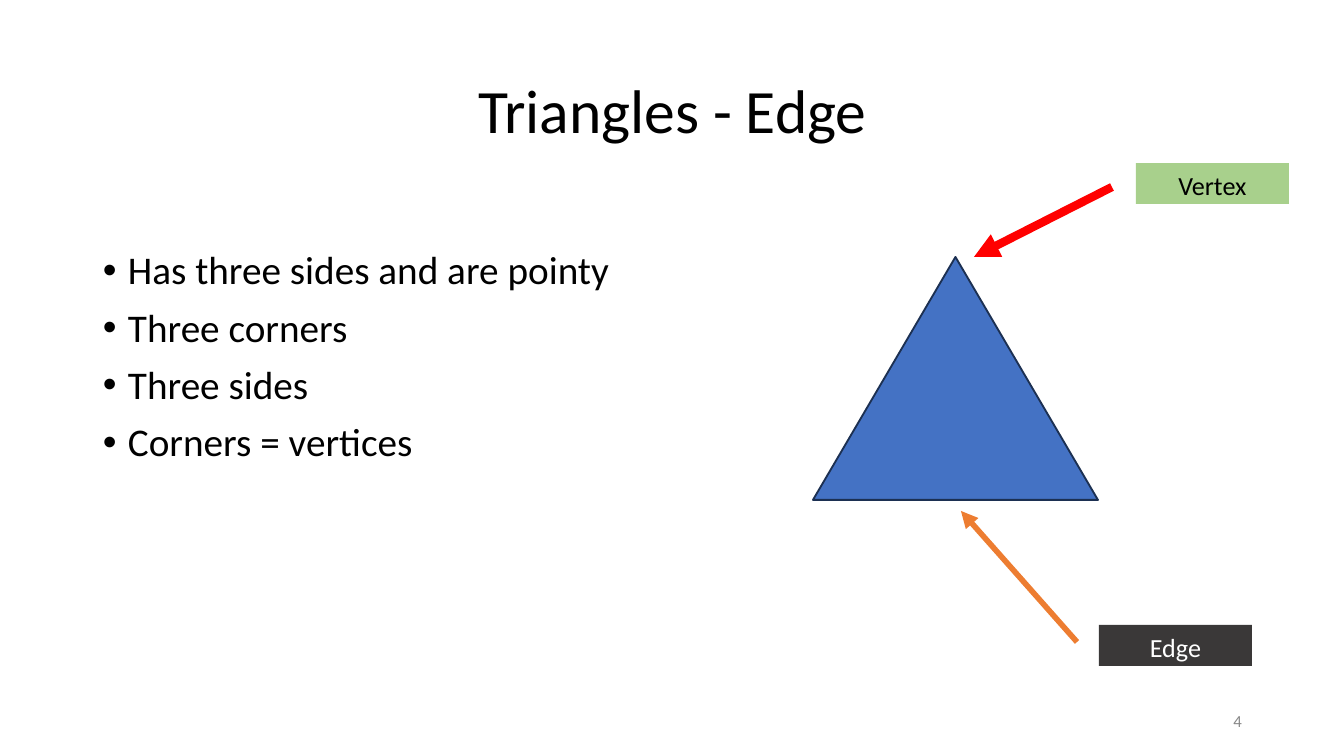
from dataclasses import dataclass

import lxml.etree
import pptx
import pptx.dml.color
import pptx.enum.shapes
import pptx.enum.text
import pptx.oxml.ns
import pptx.util

SCALE = 914400 / 134.4  # EMU in one pixel
ALIGN = pptx.enum.text.PP_ALIGN
ANCHOR = pptx.enum.text.MSO_ANCHOR
SHAPE = pptx.enum.shapes.MSO_SHAPE


@dataclass(frozen=True)
class Theme:
    font: str = "Calibri"
    title_size: int = 33
    body_size: int = 21
    label_size: int = 14
    number_size: int = 9
    black: str = "000000"
    white: str = "FFFFFF"
    gray: str = "888888"
    blue: str = "4472C4"
    navy: str = "1C3052"
    orange: str = "ED7D31"
    red: str = "FF0000"
    green: str = "A8D08C"
    charcoal: str = "3A3838"


@dataclass(frozen=True)
class Frame:
    left: int
    top: int
    width: int
    height: int


@dataclass(frozen=True)
class TextStyle:
    size: int
    color: str
    align: ALIGN = ALIGN.LEFT
    anchor: ANCHOR = ANCHOR.TOP
    line_spacing: float = 1.0
    top_inset: int = 6
    bullet: str = ""


@dataclass(frozen=True)
class Callout:
    text: str
    frame: Frame
    fill: str
    color: str
    start: tuple[int, int]
    end: tuple[int, int]
    arrow_color: str
    arrow_width: float


THEME = Theme()
BULLETS = ["Has three sides and are pointy", "Three corners",
           "Three sides", "Corners = vertices"]
CALLOUTS = [
    Callout("Edge", Frame(1099, 625, 153, 41), THEME.charcoal, THEME.white,
            (1077, 642), (961, 511), THEME.orange, 3),
    Callout("Vertex", Frame(1136, 163, 153, 41), THEME.green, THEME.black,
            (1112, 187), (974, 257), THEME.red, 4.5),
]


def px(length: float) -> int:
    return round(length * SCALE)


def rgb(code: str) -> pptx.dml.color.RGBColor:
    return pptx.dml.color.RGBColor.from_string(code)


def add_xml(parent, tag: str, **attributes: str):
    return lxml.etree.SubElement(parent, pptx.oxml.ns.qn(tag), attributes)


def place(frame: Frame) -> tuple[int, ...]:
    return tuple(map(px, (frame.left, frame.top, frame.width, frame.height)))


def add_bullet(para, mark: str, color: str) -> None:
    properties = para._p.get_or_add_pPr()
    properties.set("marL", str(px(25)))
    properties.set("indent", str(px(-25)))
    add_xml(add_xml(properties, "a:buClr"), "a:srgbClr", val=color)
    add_xml(properties, "a:buFont", typeface="Arial")
    add_xml(properties, "a:buChar", char=mark)


def write(box, lines: list[str], style: TextStyle) -> None:
    frame = box.text_frame
    frame.text = "\n".join(lines)
    frame.word_wrap = True
    frame.vertical_anchor = style.anchor
    frame.margin_left = frame.margin_right = px(10)
    frame.margin_top, frame.margin_bottom = px(style.top_inset), px(5)
    for para in frame.paragraphs:
        para.alignment = style.align
        para.line_spacing = style.line_spacing
        if style.bullet:
            para.space_before = pptx.util.Pt(8)
            add_bullet(para, style.bullet, style.color)
        for span in para.runs:
            span.font.name = THEME.font
            span.font.size = pptx.util.Pt(style.size)
            span.font.color.rgb = rgb(style.color)


def add_text(page, frame: Frame, lines: list[str], style: TextStyle) -> None:
    write(page.shapes.add_textbox(*place(frame)), lines, style)


def add_solid(page, kind: SHAPE, frame: Frame, fill: str):
    shape = page.shapes.add_shape(kind, *place(frame))
    shape.shadow.inherit = False
    shape.fill.solid()
    shape.fill.fore_color.rgb = rgb(fill)
    shape.line.fill.background()
    return shape


def add_callout(page, callout: Callout) -> None:
    arrow = page.shapes.add_connector(
        pptx.enum.shapes.MSO_CONNECTOR.STRAIGHT,
        *map(px, callout.start + callout.end))
    arrow.line.color.rgb = rgb(callout.arrow_color)
    arrow.line.width = pptx.util.Pt(callout.arrow_width)
    add_xml(arrow.get_or_add_ln(), "a:tailEnd", type="triangle")
    add_xml(arrow.element.spPr, "a:effectLst")
    label = add_solid(page, SHAPE.RECTANGLE, callout.frame, callout.fill)
    write(label, [callout.text],
          TextStyle(THEME.label_size, callout.color, ALIGN.CENTER))


def main() -> None:
    deck = pptx.Presentation()
    deck.slide_width, deck.slide_height = px(1344), px(756)
    page = deck.slides.add_slide(deck.slide_layouts[6])

    # Title and bullets
    add_text(page, Frame(93, 40, 1159, 146), ["Triangles - Edge"],
             TextStyle(THEME.title_size, THEME.black, ALIGN.CENTER,
                       ANCHOR.MIDDLE, 0.9))
    add_text(page, Frame(93, 202, 1159, 480), BULLETS,
             TextStyle(THEME.body_size, THEME.black, line_spacing=0.9,
                       top_inset=49, bullet="\u2022"))

    # Triangle with its labelled arrows
    triangle = add_solid(page, SHAPE.ISOSCELES_TRIANGLE,
                         Frame(813, 257, 285, 243), THEME.blue)
    triangle.line.color.rgb = rgb(THEME.navy)
    triangle.line.width = pptx.util.Pt(1)
    for callout in CALLOUTS:
        add_callout(page, callout)

    # Page number
    add_text(page, Frame(949, 700, 303, 40), ["4"],
             TextStyle(THEME.number_size, THEME.gray, ALIGN.RIGHT,
                       ANCHOR.MIDDLE))
    deck.save("out.pptx")


main()
